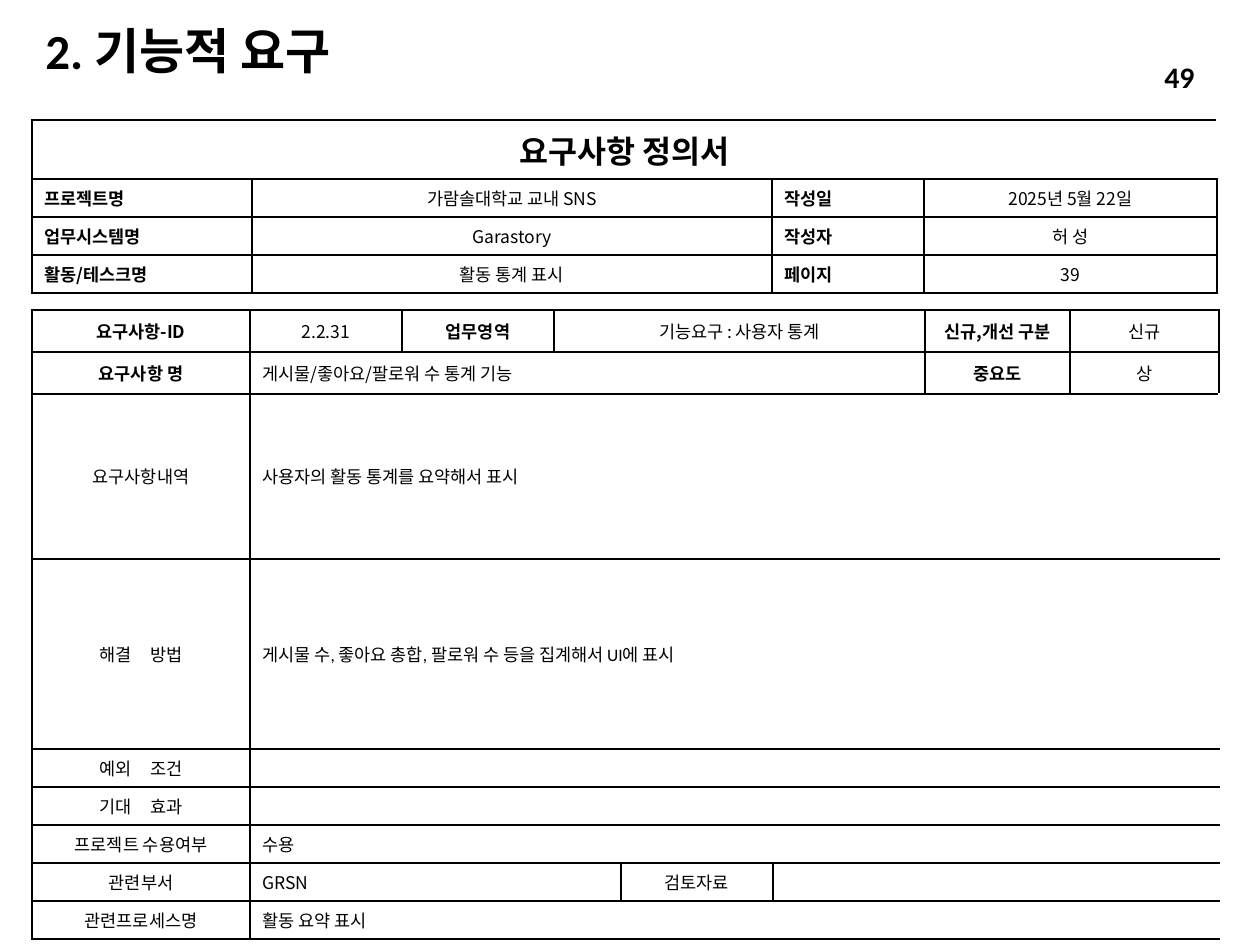
import pptx
import pptx.dml.color
import pptx.enum.text
import pptx.oxml.ns
import pptx.util
from lxml import etree

EMU_PER_PX = 914400 // 126
BLACK = pptx.dml.color.RGBColor(0, 0, 0)
SANS = "Noto Sans CJK KR"
CALIBRI = "Calibri"
LEFT, CENTER, RIGHT, JUSTIFY = (
    pptx.enum.text.PP_ALIGN.LEFT,
    pptx.enum.text.PP_ALIGN.CENTER,
    pptx.enum.text.PP_ALIGN.RIGHT,
    pptx.enum.text.PP_ALIGN.JUSTIFY,
)
TOP = pptx.enum.text.MSO_ANCHOR.TOP
MIDDLE = pptx.enum.text.MSO_ANCHOR.MIDDLE
THIN, THICK = 1, 1.5
WIDE_GAP = 900  # extra character spacing in hundredths of a point

# Each cell: column span, text, alignment, bold
HEADER_COLUMNS = [220, 520, 152, 293]
HEADER_HEIGHTS = [59, 38, 38, 38]
HEADER_FIELDS = [
    ("프로젝트명", "가람솔대학교 교내 SNS", "작성일", "2025년 5월 22일"),
    ("업무시스템명", "Garastory", "작성자", "허 성"),
    ("활동/테스크명", "활동 통계 표시", "페이지", "39"),
]

DETAIL_COLUMNS = [218, 152, 152, 67, 152, 152, 145, 149]
DETAIL_HEIGHTS = [42, 42, 165, 190] + [38] * 5
DETAIL_ROWS = [
    [(1, "요구사항-ID", CENTER, True), (1, "2.2.31", CENTER, False),
     (1, "업무영역", CENTER, True), (3, "기능요구 : 사용자 통계", CENTER, False),
     (1, "신규,개선 구분", CENTER, True), (1, "신규", CENTER, False)],
    [(1, "요구사항 명", CENTER, True),
     (5, "게시물/좋아요/팔로워 수 통계 기능", LEFT, False),
     (1, "중요도", CENTER, True), (1, "상", CENTER, False)],
    [(1, "요구사항내역", CENTER, False),
     (7, "사용자의 활동 통계를 요약해서 표시", LEFT, False)],
    [(1, "해결 방법", CENTER, False),
     (7, "게시물 수, 좋아요 총합, 팔로워 수 등을 집계해서 UI에 표시", LEFT, False)],
    [(1, "예외 조건", CENTER, False), (7, "", LEFT, False)],
    [(1, "기대 효과", CENTER, False), (7, "", LEFT, False)],
    [(1, "프로젝트 수용여부", CENTER, False), (7, "수용", LEFT, False)],
    [(1, "관련부서", CENTER, False), (3, "GRSN", LEFT, False),
     (1, "검토자료", CENTER, False), (3, "", LEFT, False)],
    [(1, "관련프로세스명", CENTER, False), (7, "활동 요약 표시", LEFT, False)],
]
WIDE_LABELS = {"해결 방법", "예외 조건", "기대 효과"}
CALIBRI_ROWS = {2, 3}


def px(length):
    return pptx.util.Emu(length * EMU_PER_PX)


def add_child(parent, tag, **attributes):
    return etree.SubElement(parent, pptx.oxml.ns.qn(tag), **attributes)


def format_run(run, size, bold, font):
    run.font.size = pptx.util.Pt(size)
    run.font.bold = bold
    run.font.name = font
    run.font.color.rgb = BLACK
    add_child(run.font._element, "a:ea", typeface=SANS)


def add_text(slide, box, text, size, align=LEFT, line_spacing=1.0):
    shape = slide.shapes.add_textbox(*map(px, box))
    frame = shape.text_frame
    frame.word_wrap = True
    frame.vertical_anchor = MIDDLE
    frame.text = text
    paragraph = frame.paragraphs[0]
    paragraph.alignment = align
    paragraph.line_spacing = line_spacing
    format_run(paragraph.runs[0], size, True, CALIBRI)


def fill_cell(cell, text, size, align, bold, font, anchor):
    cell.vertical_anchor = anchor
    paragraph = cell.text_frame.paragraphs[0]
    paragraph.alignment = align
    if not text:
        # An empty cell keeps the small text size so its row does not grow
        add_child(paragraph._p, "a:endParaRPr", sz=str(size * 100))
        return
    parts = text.partition(" ") if text in WIDE_LABELS else [text]
    for part in parts:
        run = paragraph.add_run()
        run.text = part
        format_run(run, size, bold, font)
        if part == " ":
            run.font._element.set("spc", str(WIDE_GAP))


def set_borders(cell, widths):
    """Draw the given sides; widths maps L, R, T, B to points."""
    properties = cell._tc.get_or_add_tcPr()
    for side in "LRTB":
        if side in widths:
            line = add_child(properties, "a:ln" + side,
                             w=str(pptx.util.Pt(widths[side])))
            fill = add_child(line, "a:solidFill")
            add_child(fill, "a:srgbClr", val=str(BLACK))
    cell.fill.background()


def add_grid(slide, left, top, columns, heights):
    frame = slide.shapes.add_table(len(heights), len(columns), px(left), px(top),
                                   px(sum(columns)), px(sum(heights)))
    table = frame.table
    table.first_row = table.horz_banding = False
    for column, width in zip(table.columns, columns):
        column.width = px(width)
    for row, height in zip(table.rows, heights):
        row.height = px(height)
    return table


def fill_row(table, row, cells, thick_rules, size=10, font=SANS, anchor=MIDDLE):
    """Fill one row; thick_rules holds the numbers of the heavy horizontal rules."""
    last = len(table.columns)
    column = 0
    for span, text, align, bold in cells:
        end = column + span
        cell = table.cell(row, column)
        if span > 1:
            cell.merge(table.cell(row, end - 1))
        fill_cell(cell, text, size, align, bold, font if align == LEFT else SANS, anchor)
        for index in range(column, end):
            widths = {"T": THICK if row in thick_rules else THIN,
                      "B": THICK if row + 1 in thick_rules else THIN}
            if index == column:
                widths["L"] = THICK if index == 0 else THIN
            if index == end - 1:
                widths["R"] = THICK if end == last else THIN
            set_borders(table.cell(row, index), widths)
        column = end


def add_header_table(slide):
    table = add_grid(slide, 32, 120, HEADER_COLUMNS, HEADER_HEIGHTS)
    rules = {0, len(HEADER_HEIGHTS)}
    fill_row(table, 0, [(4, "요구사항 정의서", CENTER, True)], rules, size=18)
    for row, fields in enumerate(HEADER_FIELDS, start=1):
        cells = [(1, text, CENTER if index % 2 else JUSTIFY, index % 2 == 0)
                 for index, text in enumerate(fields)]
        fill_row(table, row, cells, rules, anchor=TOP)


def add_detail_table(slide):
    table = add_grid(slide, 32, 310, DETAIL_COLUMNS, DETAIL_HEIGHTS)
    rules = {0, 1, 2, len(DETAIL_HEIGHTS)}
    for row, cells in enumerate(DETAIL_ROWS):
        font = CALIBRI if row in CALIBRI_ROWS else SANS
        fill_row(table, row, cells, rules, font=font)


def main():
    presentation = pptx.Presentation()
    presentation.slide_width = pptx.util.Inches(10)
    presentation.slide_height = pptx.util.Inches(7.5)
    slide = presentation.slides.add_slide(presentation.slide_layouts[6])

    # Title and tables
    add_text(slide, (33, 26, 675, 55), "2. 기능적 요구", 28, line_spacing=0.9)
    add_detail_table(slide)
    add_header_table(slide)

    # Page number
    add_text(slide, (1003, 52, 204, 50), "49", 17, align=RIGHT)
    presentation.save("out.pptx")


if __name__ == "__main__":
    main()
